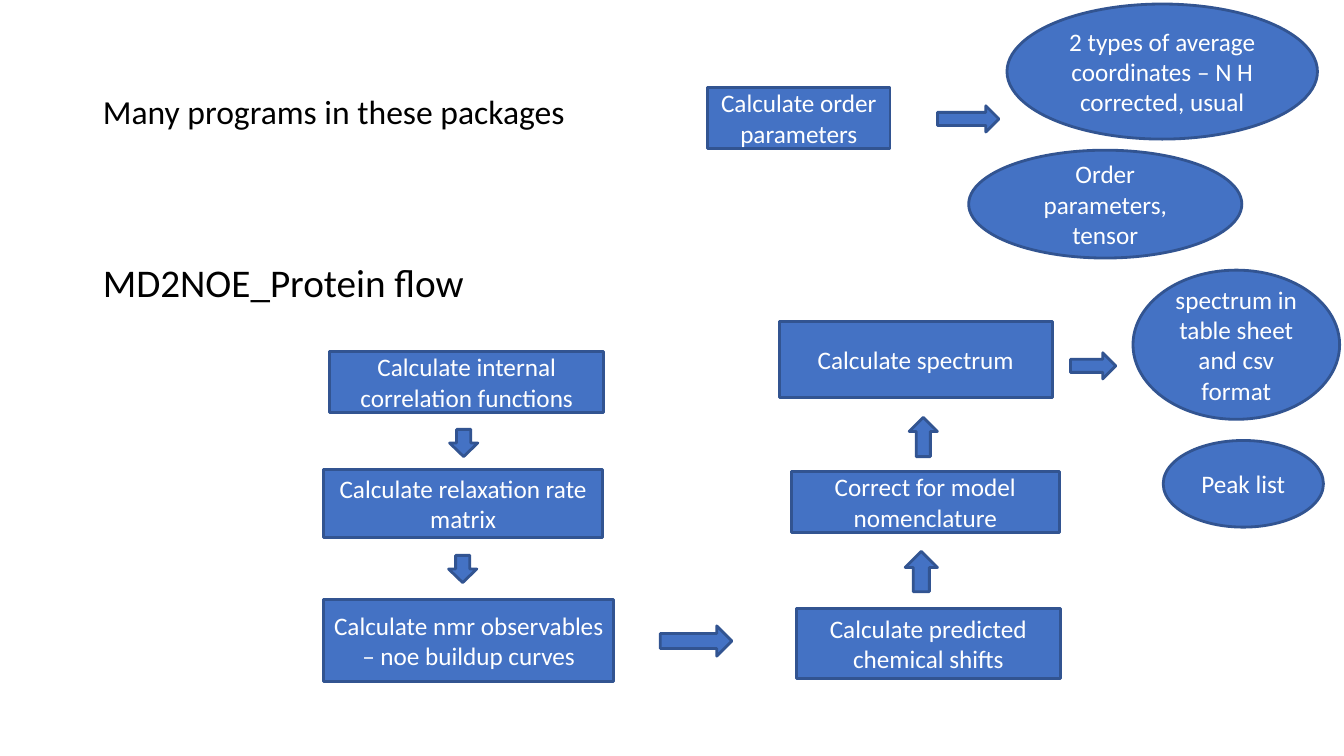
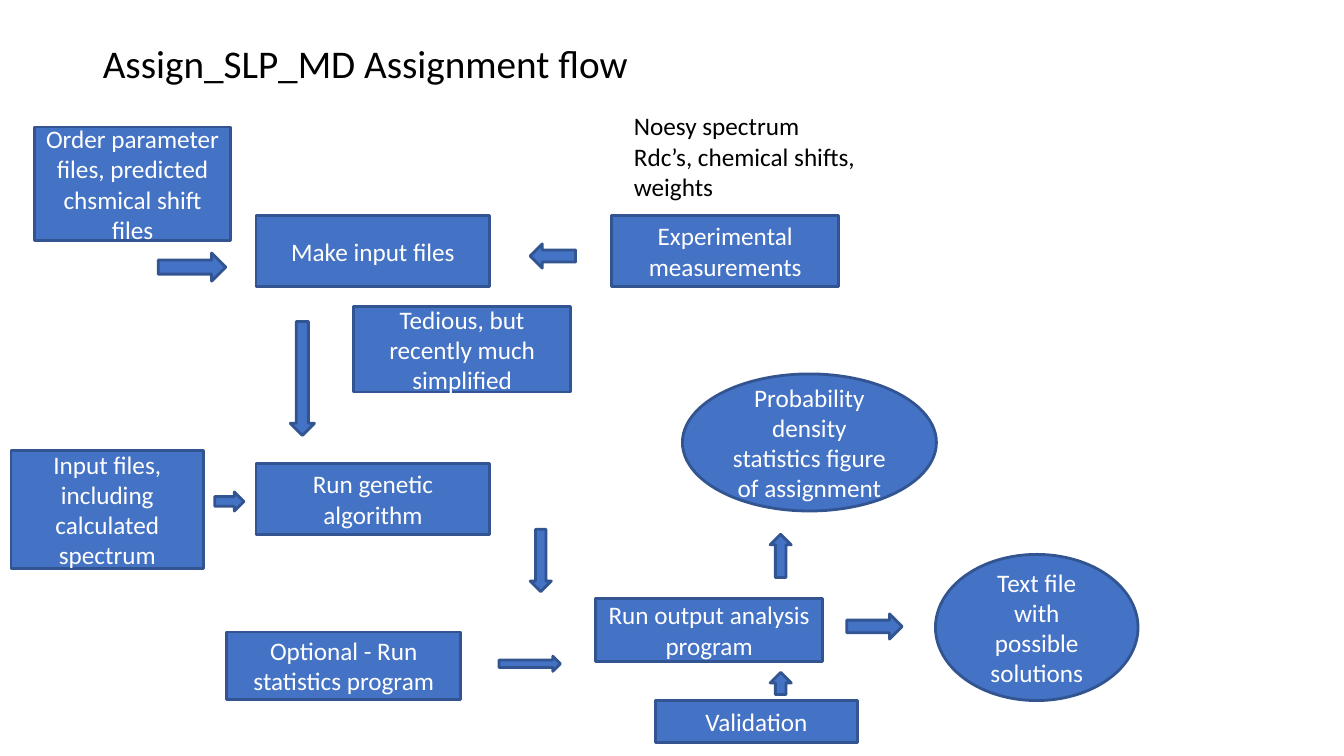
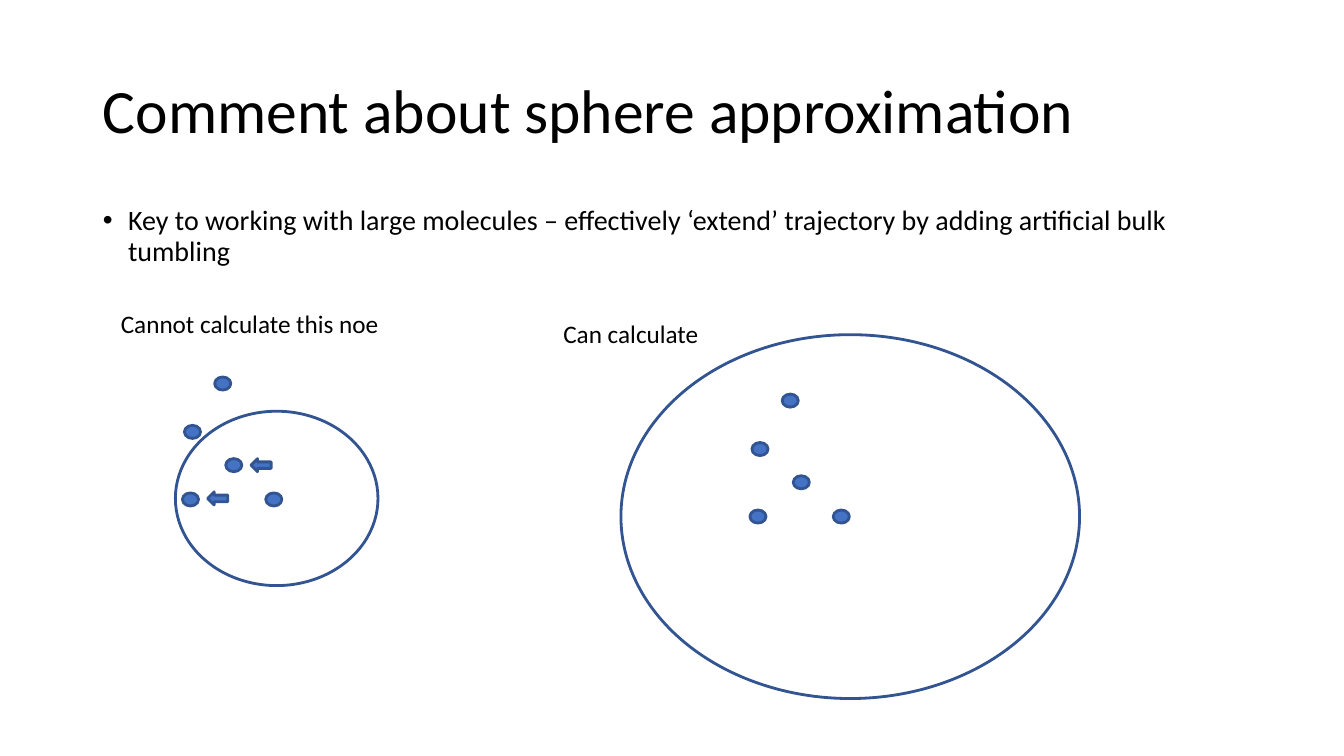
from lxml import etree
from pptx import Presentation
from pptx.dml.color import RGBColor
from pptx.enum.shapes import MSO_SHAPE
from pptx.enum.text import MSO_ANCHOR, MSO_AUTO_SIZE, PP_ALIGN
from pptx.oxml.ns import qn
from pptx.util import Inches, Pt

BOX, OVAL = MSO_SHAPE.RECTANGLE, MSO_SHAPE.OVAL
UP, DOWN = MSO_SHAPE.UP_ARROW, MSO_SHAPE.DOWN_ARROW
LEFT, RIGHT = MSO_SHAPE.LEFT_ARROW, MSO_SHAPE.RIGHT_ARROW
TOP, MIDDLE = MSO_ANCHOR.TOP, MSO_ANCHOR.MIDDLE
ALIGN_LEFT, ALIGN_CENTER = PP_ALIGN.LEFT, PP_ALIGN.CENTER
NO_AUTOFIT = MSO_AUTO_SIZE.NONE
TITLE_AND_BODY, TITLE_ONLY = 1, 5

# Shared look: the slide is a grid of 40 columns and 30 rows
WIDTH, HEIGHT = Inches(13.333), Inches(7.5)
COL, ROW = WIDTH / 40, HEIGHT / 30
FONT = "Calibri"
LABEL_SIZE = 18
COLORS = {"fill": "4472C4", "line": "325491", "light": "FFFFFF", "dark": "000000"}
TITLE_AT = (2.76, 1.6, 34.5, 5.8)
BODY_AT = (2.76, 8, 34.5, 19.04)
DOT_SIZE = (0.48, 0.52)
DOT_OFFSETS = [(0.96, 0), (0.06, 1.92), (1.29, 3.24), (0, 4.6), (2.48, 4.6)]


def color(name):
    return RGBColor.from_string(COLORS[name])


def grid(col, row, cols, rows):
    return [int(n) for n in (col * COL, row * ROW, cols * COL, rows * ROW)]


def write(tf, lines, size, ink="dark", align=ALIGN_LEFT, anchor=TOP, spacing=1.0):
    frame = {"word_wrap": True, "auto_size": NO_AUTOFIT, "vertical_anchor": anchor}
    for key, value in frame.items():
        setattr(tf, key, value)
    for i, line in enumerate(lines):
        p = tf.paragraphs[0] if i == 0 else tf.add_paragraph()
        layout = {"alignment": align, "line_spacing": spacing, "space_before": Pt(0)}
        for key, value in layout.items():
            setattr(p, key, value)
        r = p.add_run()
        r.text = line
        for key, value in {"name": FONT, "size": Pt(size)}.items():
            setattr(r.font, key, value)
        r.font.color.rgb = color(ink)


def place(sp, at):
    for key, value in zip(("left", "top", "width", "height"), grid(*at)):
        setattr(sp, key, value)


def set_bullet(p, char=None):
    pPr = p._p.get_or_add_pPr()
    indent = Inches(0.25) if char else 0
    pPr.set("marL", str(indent))
    pPr.set("indent", str(-indent))
    if char:
        etree.SubElement(pPr, qn("a:buFont")).set("typeface", "Arial")
        etree.SubElement(pPr, qn("a:buChar")).set("char", char)
    else:
        etree.SubElement(pPr, qn("a:buNone"))


def add_slide(prs, layout, title, size, at=TITLE_AT):
    s = prs.slides.add_slide(prs.slide_layouts[layout])
    place(s.shapes.title, at)
    write(s.shapes.title.text_frame, [title], size, anchor=MIDDLE, spacing=0.9)
    return s


def add_body(s, text, size, at=BODY_AT, bullet=None):
    sp = s.placeholders[1]
    place(sp, at)
    set_bullet(sp.text_frame.paragraphs[0], bullet)
    write(sp.text_frame, [text], size, spacing=0.9)


def add_shape(s, kind, at, text=None, filled=True):
    sp = s.shapes.add_shape(kind, *grid(*at))
    sp.shadow.inherit = False
    if filled:
        sp.fill.solid()
        sp.fill.fore_color.rgb = color("fill")
    else:
        sp.fill.background()
    sp.line.color.rgb = color("line")
    sp.line.width = Pt(2)
    if text:
        write(sp.text_frame, [text], LABEL_SIZE, "light", ALIGN_CENTER, MIDDLE)


def add_flow(s, steps, arrows):
    for kind, text, *at in steps:
        add_shape(s, kind, at, text)
    for kind, *at in arrows:
        add_shape(s, kind, at)


def add_note(s, lines, at):
    write(s.shapes.add_textbox(*grid(*at)).text_frame, lines, LABEL_SIZE)


def add_dots(s, col, row):
    for dx, dy in DOT_OFFSETS:
        add_shape(s, OVAL, (col + dx, row + dy, *DOT_SIZE))


def protein_flow(prs):
    s = add_slide(prs, TITLE_AND_BODY, "Many programs in these packages", 24)
    add_body(s, "MD2NOE_Protein flow", 28, (2.76, 10.28, 34.5, 16.76))
    steps = [
        (BOX, "Calculate internal correlation functions", 9.81, 13.96, 8.16, 2.4),
        (BOX, "Calculate relaxation rate matrix", 9.63, 18.64, 8.31, 2.68),
        (BOX, "Calculate nmr observables – noe buildup curves", 9.63, 23.8, 8.64, 3.24),
        (BOX, "Calculate predicted chemical shifts", 23.7, 24.16, 7.86, 2.76),
        (BOX, "Correct for model nomenclature", 23.55, 18.72, 7.98, 2.4),
        (BOX, "Calculate spectrum", 23.19, 12.76, 8.13, 3),
        (BOX, "Calculate order parameters", 21.06, 3.48, 5.43, 2.4),
        (OVAL, "2 types of average coordinates – N H corrected, usual",
         29.97, 0.16, 9.24, 5.36),
        (OVAL, "Order parameters, tensor", 28.83, 5.96, 8.13, 4.28),
        (OVAL, "spectrum in table sheet and csv format", 33.72, 10.72, 6.15, 5.92),
        (OVAL, "Peak list", 34.62, 17.48, 4.77, 3.44),
    ]
    arrows = [
        (DOWN, 13.38, 17.04, 0.84, 1.08),
        (DOWN, 13.35, 22.04, 0.84, 1.08),
        (RIGHT, 19.65, 24.84, 2.13, 1.2),
        (UP, 26.94, 21.88, 0.96, 1.6),
        (UP, 27.06, 16.56, 0.84, 1.56),
        (RIGHT, 27.9, 4.2, 1.83, 1.04),
        (RIGHT, 31.86, 14, 1.35, 1.04),
    ]
    add_flow(s, steps, arrows)


def assignment_flow(prs):
    s = add_slide(prs, TITLE_ONLY, "Assign_SLP_MD Assignment flow", 28,
                  (2.76, 1.12, 34.2, 3))
    steps = [
        (BOX, "Order parameter files, predicted chsmical shift files",
         1.02, 5.04, 5.85, 4.52),
        (BOX, "Make input files", 7.62, 8.56, 6.96, 2.8),
        (BOX, "Experimental measurements", 18.21, 8.56, 6.75, 2.8),
        (BOX, "Tedious, but recently much simplified", 10.53, 12.16, 6.45, 3.4),
        (BOX, "Input files, including calculated spectrum", 0.33, 17.88, 5.73, 4.68),
        (BOX, "Run genetic algorithm", 7.62, 18.4, 6.96, 2.8),
        (BOX, "Optional - Run statistics program", 6.75, 25.08, 6.96, 2.68),
        (BOX, "Run output analysis program", 17.73, 23.76, 6.75, 2.48),
        (BOX, "Validation", 19.5, 27.8, 6.03, 1.68),
        (OVAL, "Probability density statistics figure of assignment",
         20.31, 14.84, 7.56, 5.44),
        (OVAL, "Text file with possible solutions", 27.84, 22, 6.03, 5.8),
    ]
    arrows = [
        (RIGHT, 4.71, 10.04, 2.01, 1.12),
        (LEFT, 15.78, 9.68, 1.35, 0.96),
        (DOWN, 8.64, 12.76, 0.72, 4.52),
        (RIGHT, 6.39, 19.52, 0.87, 0.76),
        (DOWN, 15.78, 21, 0.63, 2.48),
        (RIGHT, 14.85, 26.04, 1.83, 0.6),
        (UP, 22.92, 21.2, 0.63, 1.72),
        (UP, 22.92, 26.68, 0.63, 0.88),
        (RIGHT, 25.2, 24.36, 1.65, 1),
    ]
    add_flow(s, steps, arrows)
    add_note(s, ["Noesy spectrum", "Rdc’s, chemical shifts, weights"],
             (18.57, 4.2, 8.22, 4))


def sphere_comment(prs):
    s = add_slide(prs, TITLE_AND_BODY, "Comment about sphere approximation", 44)
    add_body(s, "Key to working with large molecules – effectively ‘extend’ "
                "trajectory by adding artificial bulk tumbling", 20, bullet="•")
    # Small and large spheres around the same cluster of atoms
    for sphere in [(5.22, 16.32, 6.03, 6.92), (18.48, 13.28, 13.65, 14.44)]:
        add_shape(s, OVAL, sphere, filled=False)
    for cluster in [(5.43, 14.96), (22.32, 15.64)]:
        add_dots(s, *cluster)
    add_note(s, ["Cannot calculate this noe"], (3.3, 12.04, 8.43, 2.8))
    add_note(s, ["Can calculate"], (16.47, 12.44, 6.15, 1.6))
    for col, row in [(6.18, 19.52), (7.47, 18.2)]:
        add_shape(s, LEFT, (col, row, 0.6, 0.52))


def main():
    prs = Presentation()
    prs.slide_width, prs.slide_height = WIDTH, HEIGHT
    protein_flow(prs)
    assignment_flow(prs)
    sphere_comment(prs)
    prs.save("out.pptx")


if __name__ == "__main__":
    main()
